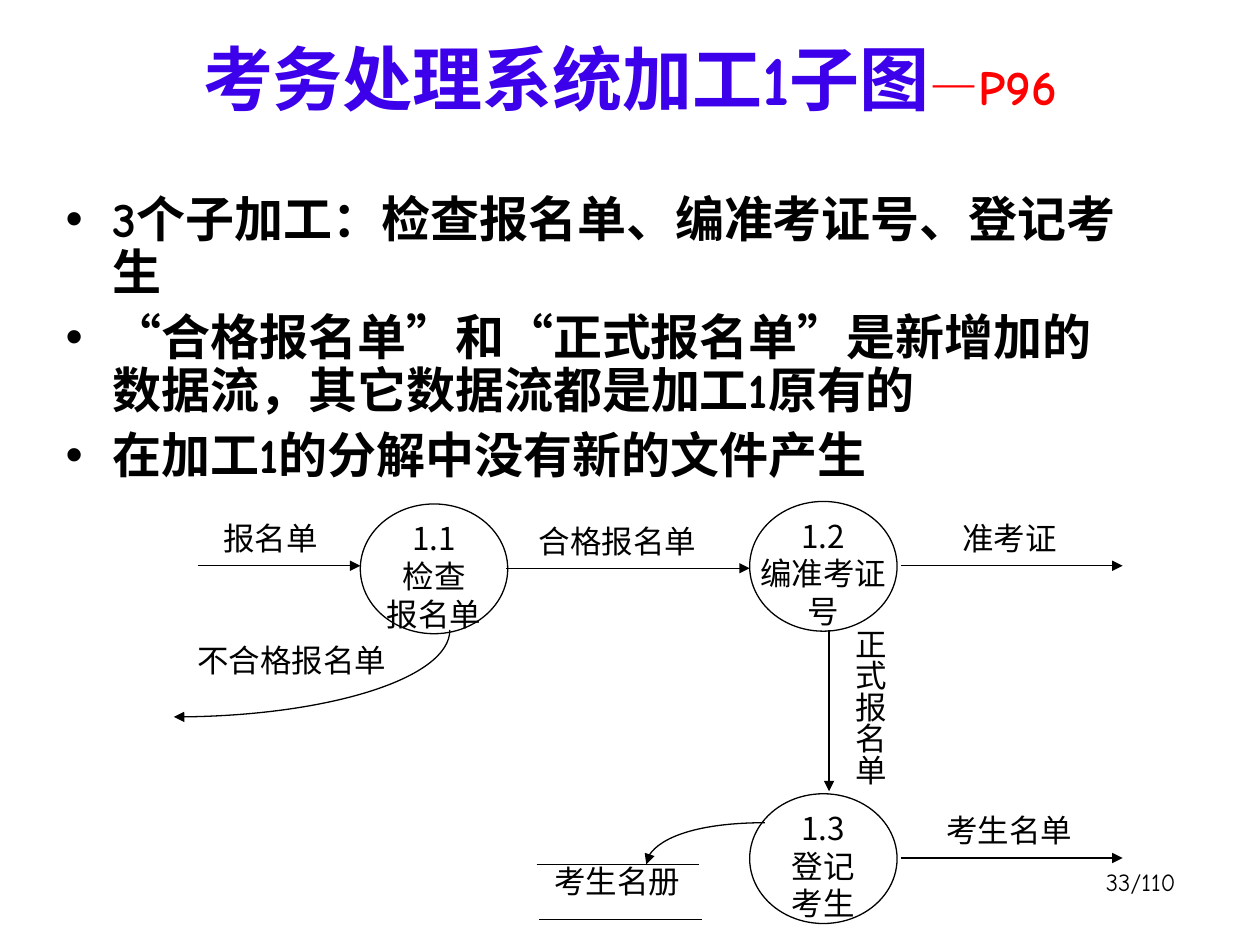
from lxml import etree
from pptx import Presentation
from pptx.dml.color import RGBColor
from pptx.enum.shapes import MSO_CONNECTOR, MSO_SHAPE
from pptx.enum.text import MSO_ANCHOR, MSO_AUTO_SIZE, PP_ALIGN
from pptx.oxml.ns import qn
from pptx.util import Pt

PX = 9144  # 100 px to the inch
BLACK = RGBColor(0x00, 0x00, 0x00)
BLUE = RGBColor(0x3D, 0x00, 0xEA)
RED = RGBColor(0xFF, 0x00, 0x00)
COMIC, SANS, ARIAL = "Comic Neue", "Noto Sans CJK SC", "Arial"
CENTER, RIGHT, JUSTIFY = PP_ALIGN.CENTER, PP_ALIGN.RIGHT, PP_ALIGN.JUSTIFY
STRAIGHT = MSO_CONNECTOR.STRAIGHT
ELLIPSE = MSO_SHAPE.OVAL
TITLE_AND_CONTENT = 1

BULLETS = [
    [("3个子加工：检查报名单、编准考证号、登记考生", COMIC)],
    [("“", ARIAL), ("合格报名单", COMIC), ("”", ARIAL), ("和", COMIC),
     ("“", ARIAL), ("正式报名单", COMIC), ("”", ARIAL),
     ("是新增加的数据流，其它数据流都是加工1原有的", COMIC)],
    [("在加工1的分解中没有新的文件产生", COMIC)],
]
# left, top, lines
PROCESSES = [
    (186, 2, ["1.1", "检查", "报名单"]),
    (495, 0, ["1.2", "编准考证号"]),
    (495, 232, ["1.3", "登记", "考生"]),
]
# start x, end x, y, label, label left, label width
FLOWS = [
    (57, 186, 51, "报名单", 49, 131),
    (302, 495, 53, "合格报名单", 306, 168),
    (615, 791, 51, "准考证", 617, 168),
    (615, 791, 283, "考生名单", 617, 168),
]


def emu(*lengths):
    return [length * PX for length in lengths]


def add_run(paragraph, text, size, font_name=SANS, color=BLACK, bold=False):
    run = paragraph.add_run()
    run.text = text
    font = run.font
    font.size, font.bold, font.name = Pt(size), bold, font_name
    font.color.rgb = color
    properties = run.font._element
    east_asian = etree.SubElement(properties, qn("a:ea"))
    east_asian.set("typeface", SANS)


def add_label(slide, box, lines, align=CENTER, size=18, font_name=SANS):
    shape = slide.shapes.add_textbox(*emu(*box))
    frame = shape.text_frame
    frame.word_wrap = True
    for index, line in enumerate(lines):
        paragraph = frame.add_paragraph() if index else frame.paragraphs[0]
        paragraph.alignment = align
        add_run(paragraph, line, size, font_name)
    return shape


def style_line(shape, arrow=False):
    shape.line.color.rgb = BLACK
    shape.line.width = Pt(0.75)
    if arrow:
        line = shape.element.find(".//" + qn("a:ln"))
        etree.SubElement(line, qn("a:tailEnd")).set("type", "triangle")


def add_line(slide, start, end, arrow=False):
    connector = slide.shapes.add_connector(STRAIGHT, *emu(*start, *end))
    style_line(connector, arrow)
    etree.SubElement(connector.element.spPr, qn("a:effectLst"))


def add_quarter_arrow(slide, start, end, starts_vertical):
    """Draw a quarter of an ellipse as one Bezier curve with an arrowhead."""
    builder = slide.shapes.build_freeform(*start, scale=PX)
    builder.add_line_segments([end], close=False)
    shape = builder.convert_to_shape()
    shape.shadow.inherit = False
    shape.fill.background()
    style_line(shape, arrow=True)

    (x1, y1), (x2, y2) = start, end
    near, far = 0.55, 0.45
    if starts_vertical:
        controls = [(x1, y1 + near * (y2 - y1)), (x1 + far * (x2 - x1), y2)]
    else:
        controls = [(x1 + near * (x2 - x1), y1), (x2, y1 + far * (y2 - y1))]
    segment = shape.element.find(".//" + qn("a:lnTo"))
    curve = etree.Element(qn("a:cubicBezTo"))
    for x, y in controls + [end]:
        point = etree.SubElement(curve, qn("a:pt"))
        point.set("x", str(round(x - min(x1, x2))))
        point.set("y", str(round(y - min(y1, y2))))
    segment.getparent().replace(segment, curve)


def place(shape, box):
    shape.left, shape.top, shape.width, shape.height = emu(*box)
    shape.text_frame.auto_size = MSO_AUTO_SIZE.NONE


def add_title(slide, box):
    title = slide.shapes.title
    place(title, box)
    title.text_frame.vertical_anchor = MSO_ANCHOR.BOTTOM
    paragraph = title.text_frame.paragraphs[0]
    paragraph.alignment = CENTER
    add_run(paragraph, "考务处理系统加工1子图", 40, COMIC, BLUE, True)
    add_run(paragraph, "—P96", 28, COMIC, RED, True)


def add_bullets(slide, box):
    body = slide.placeholders[1]
    place(body, box)
    frame = body.text_frame
    for index, runs in enumerate(BULLETS):
        paragraph = frame.add_paragraph() if index else frame.paragraphs[0]
        paragraph.line_spacing = 0.9
        paragraph.space_before = Pt(7 if index else 0)
        for text, font_name in runs:
            add_run(paragraph, text, 28, font_name, bold=True)


def add_process(slide, left, top, lines):
    ellipse = slide.shapes.add_shape(ELLIPSE, *emu(left, top, 117, 103))
    ellipse.shadow.inherit = False
    ellipse.fill.background()
    style_line(ellipse)
    add_label(slide, (left - 9, top + 7, 135, 95), lines)


def add_file_store(slide, left, top):
    add_line(slide, (left, top), (left + 129, top))
    add_line(slide, (left + 2, top + 44), (left + 131, top + 44))
    add_label(slide, (left - 2, top - 7, 132, 55), ["考生名册"])


def add_data_flow_diagram(slide, left, top):
    for x, y, lines in PROCESSES:
        add_process(slide, left + x, top + y, lines)
    for start_x, end_x, y, text, label_x, width in FLOWS:
        add_line(slide, (left + start_x, top + y), (left + end_x, top + y), True)
        add_label(slide, (left + label_x, top + y - 42, width, 56), [text])

    add_line(slide, (left + 558, top + 102), (left + 558, top + 230), True)
    vertical = add_label(slide, (left + 528, top + 91, 83, 158),
                         ["正式报名单"], JUSTIFY)
    frame = vertical.text_frame
    frame.margin_left = frame.margin_right = 5 * PX
    frame.margin_top = frame.margin_bottom = 10 * PX
    vertical.element.find(".//" + qn("a:bodyPr")).set("vert", "eaVert")

    add_quarter_arrow(slide, (left + 257, top + 102), (left + 38, top + 171), True)
    add_label(slide, (left + 33, top + 106, 197, 57), ["不合格报名单"])
    add_file_store(slide, left + 326, top + 288)
    add_quarter_arrow(slide, (left + 507, top + 255), (left + 413, top + 288), False)


def main():
    presentation = Presentation()
    presentation.slide_width, presentation.slide_height = emu(1000, 750)
    layout = presentation.slide_layouts[TITLE_AND_CONTENT]
    slide = presentation.slides.add_slide(layout)
    add_title(slide, (50, 17, 900, 83))
    add_bullets(slide, (42, 150, 867, 258))
    add_data_flow_diagram(slide, 100, 398)
    add_label(slide, (735, 683, 208, 50), ["33/110"], RIGHT, 14, COMIC)
    presentation.save("out.pptx")


if __name__ == "__main__":
    main()
